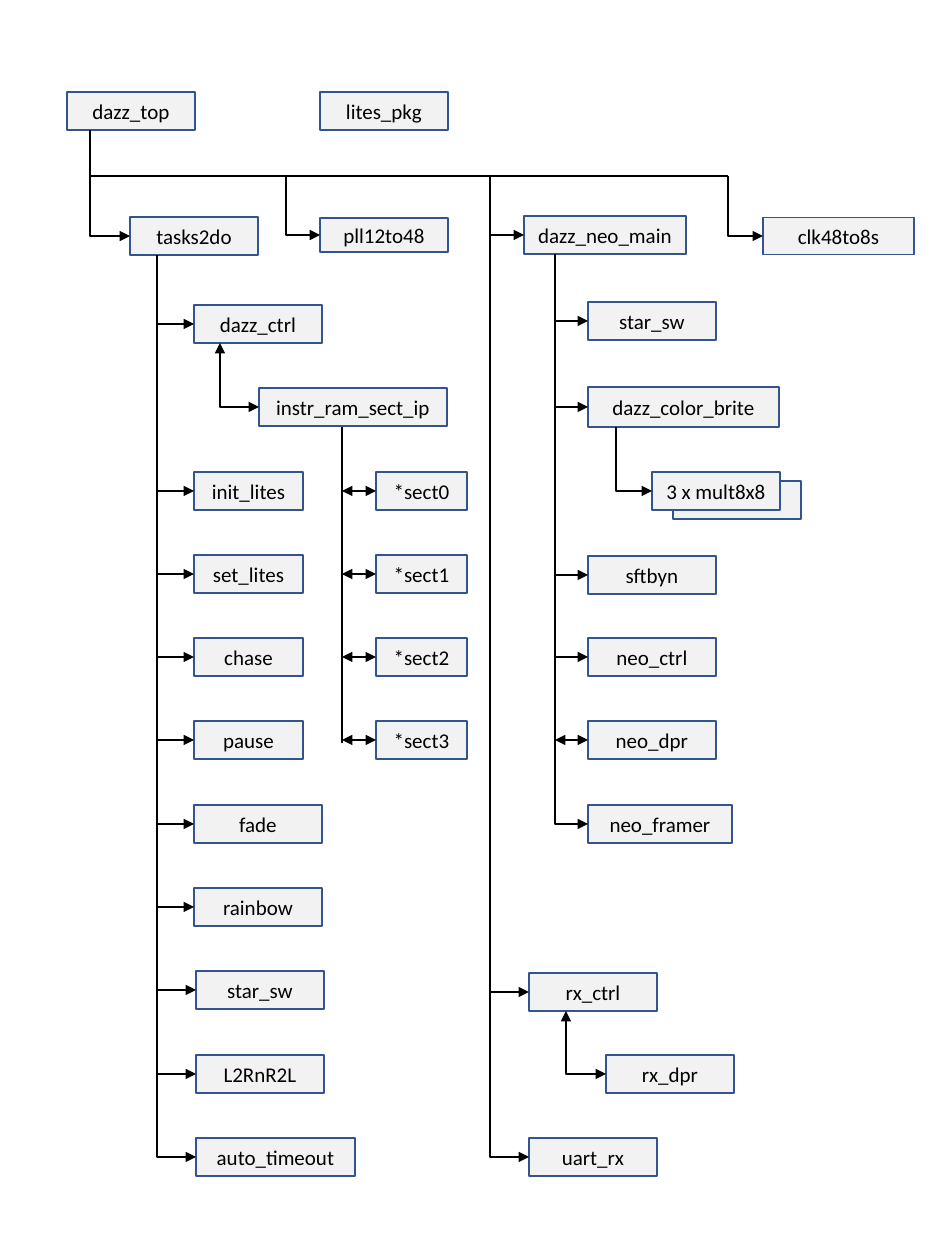
from lxml import etree
from pptx import Presentation
from pptx.dml.color import RGBColor
from pptx.enum.shapes import MSO_CONNECTOR, MSO_SHAPE
from pptx.enum.text import MSO_ANCHOR, PP_ALIGN
from pptx.oxml.ns import qn
from pptx.util import Emu, Pt

STRAIGHT, ELBOW = MSO_CONNECTOR.STRAIGHT, MSO_CONNECTOR.ELBOW
RECT = MSO_SHAPE.RECTANGLE
MIDDLE, CENTER = MSO_ANCHOR.MIDDLE, PP_ALIGN.CENTER
COLORS = {"fill": "F2F2F2", "border": "325491", "ink": "000000"}
SCALE = 914400 / 126
BOX_H = 38
BOX_W = 128
ROW_TOP, ROW_STEP = 324, 83.3


def px(n):
    """Turn pixels into EMU."""
    return Emu(round(n * SCALE))


def color(name):
    """Look up a colour by its role."""
    return RGBColor.from_string(COLORS[name])


def row(i):
    """Return the centre height of a grid row."""
    return round(ROW_TOP + ROW_STEP * i)


def write(tf, text, size=12, font="Calibri", ink="ink", align=CENTER):
    """Put formatted text in a text frame."""
    tf.vertical_anchor = MIDDLE
    tf.margin_left = tf.margin_right = tf.margin_top = tf.margin_bottom = 0
    p = tf.paragraphs[0]
    p.alignment = align
    r = p.add_run()
    r.text = text
    r.font.size, r.font.name = Pt(size), font
    r.font.color.rgb = color(ink)


def box(slide, text, left, mid, w=BOX_W, h=BOX_H):
    """Draw a module box centred on a height."""
    sp = slide.shapes.add_shape(RECT, px(left), px(mid - h / 2), px(w), px(h))
    sp.shadow.inherit = False
    sp.fill.solid()
    sp.fill.fore_color.rgb = color("fill")
    sp.line.color.rgb = color("border")
    sp.line.width = Pt(1)
    if text:
        write(sp.text_frame, text)


def link(slide, kind, x1, y1, x2, y2, ends=()):
    """Draw a black connector with triangles at the named ends."""
    c = slide.shapes.add_connector(kind, px(x1), px(y1), px(x2), px(y2))
    c.line.color.rgb = color("ink")
    c.line.width = Pt(1)
    ln = c.line._get_or_add_ln()
    for end in ends:
        etree.SubElement(ln, qn("a:" + end), type="triangle")
    etree.SubElement(c._element.spPr, qn("a:effectLst"))
    return c


def elbow(slide, x1, y1, x2, y2, ends):
    """Draw a connector that runs down and then right."""
    cx, cy = (x1 + x2) / 2, (y1 + y2) / 2
    w, h = x2 - x1, y2 - y1
    c = link(slide, ELBOW, cx + h / 2, cy - w / 2, cx - h / 2, cy + w / 2, ends)
    spPr = c._element.spPr
    spPr.find(qn("a:xfrm")).set("rot", "16200000")
    spPr.find(qn("a:prstGeom")).set("prst", "bentConnector2")


def tree(slide, x, top, children, two_way=(), stem=None):
    """Hang children on a trunk, which ends at the stem or bends into the last child."""
    if stem:
        link(slide, STRAIGHT, x, top, x, stem)
    for i, (text, left, mid, *size) in enumerate(children):
        box(slide, text, left, mid, *size)
        ends = ("headEnd", "tailEnd") if text in two_way else ("tailEnd",)
        if stem or i < len(children) - 1:
            link(slide, STRAIGHT, x, mid, left, mid, ends)
        else:
            elbow(slide, x, top, left, mid, ends)


def top_level(slide):
    """Draw the top modules and the bar that feeds the branches."""
    box(slide, "dazz_top", 67, 111)
    box(slide, "lites_pkg", 320, 111)
    link(slide, STRAIGHT, 90, 176, 728, 176)
    tree(slide, 90, 130, [("tasks2do", 130, 236)])
    tree(slide, 286, 176, [("pll12to48", 320, 235, BOX_W, 34)])
    tree(slide, 728, 176, [("clk48to8s", 763, 236, 151, 37)])
    tree(slide, 490, 176, [("dazz_neo_main", 524, 235, 162),
                           ("rx_ctrl", 529, row(8) + 2),
                           ("uart_rx", 529, row(10))])


def tasks_branch(slide, x, top):
    """Draw the task modules and the instruction memory."""
    short = ["init_lites", "set_lites", "chase", "pause"]
    children = [("dazz_ctrl", x + 37, row(0))]
    children += [(t, x + 37, row(i), 109) for i, t in enumerate(short, 2)]
    children += [("fade", x + 37, row(6)), ("rainbow", x + 37, row(7)),
                 ("star_sw", x + 39, row(8)), ("L2RnR2L", x + 39, row(9)),
                 ("auto_timeout", x + 39, row(10), 159)]
    tree(slide, x, top, children)
    ram = "instr_ram_sect_ip"
    tree(slide, x + 63, row(0) + 19, [(ram, x + 102, row(1), 188)], [ram])
    sects = [(f"*sect{i}", x + 219, row(i + 2), 91) for i in range(4)]
    tree(slide, x + 185, row(1) + 20, sects, [s[0] for s in sects], stem=row(5) + 3)


def neo_branch(slide, x, top):
    """Draw the main modules and the stacked multipliers."""
    left = x + 33
    tree(slide, x, top, [("star_sw", left, row(0) - 3),
                         ("dazz_color_brite", left, row(1), 191, 40),
                         ("sftbyn", left, row(3) + 1),
                         ("neo_ctrl", left, row(4)),
                         ("neo_dpr", left, row(5)),
                         ("neo_framer", left, row(6), 144)], ["neo_dpr"])
    box(slide, "", x + 118, row(2) + 9)
    tree(slide, x + 61, row(1) + 20, [("3 x mult8x8", x + 97, row(2))])


def main():
    """Build the module hierarchy slide."""
    prs = Presentation()
    prs.slide_width, prs.slide_height = px(945), px(1260)
    slide = prs.slides.add_slide(prs.slide_layouts[6])
    top_level(slide)
    tasks_branch(slide, 157, 255)
    neo_branch(slide, 555, 254)
    tree(slide, 566, row(8) + 21, [("rx_dpr", 606, row(9))], ["rx_dpr"])
    prs.save("out.pptx")


main()
